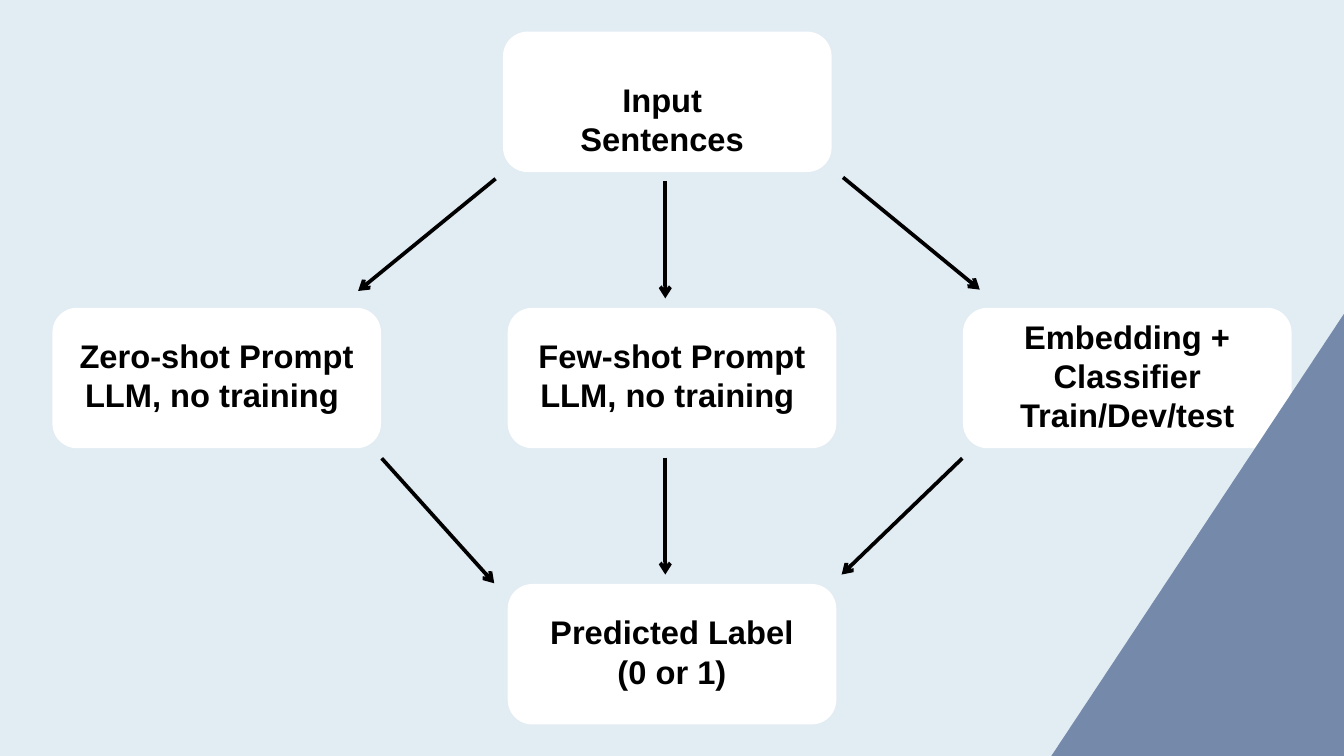
from dataclasses import dataclass

from lxml.etree import SubElement
from pptx import Presentation
from pptx.dml.color import RGBColor
from pptx.enum.shapes import MSO_CONNECTOR as Connector, MSO_SHAPE as Shape
from pptx.enum.text import MSO_ANCHOR as Anchor, PP_ALIGN as Align
from pptx.oxml.ns import qn
from pptx.util import Inches, Pt


@dataclass(frozen=True)
class Theme:
    background: str = "E2ECF3"
    card: str = "FFFFFF"
    ink: str = "000000"
    accent: str = "7589AB"
    font: str = "Arial"
    text_size: int = 35
    line_spacing: int = 42
    arrow_width: int = 4


THEME = Theme()
SLIDE_WIDTH, SLIDE_HEIGHT = 20, 11.25

# Three columns and three rows of cards, centred on the slide
CARD_WIDTH, CARD_HEIGHT = 4.89, 2.09
MARGIN_X, MARGIN_Y = 0.78, 0.47
PITCH_X = (SLIDE_WIDTH - 2 * MARGIN_X - CARD_WIDTH) / 2
PITCH_Y = (SLIDE_HEIGHT - 2 * MARGIN_Y - CARD_HEIGHT) / 2
CORNER = 0.175

# Insets inside a card: left, top, right, bottom
INSETS = (0.25, 0, 0.25, 0.08)
INPUT_INSETS = (0.52, 0.52, 0.67, 0)

# name: (column, row, shift to the right, insets, paragraphs)
CARDS = {
    "embedding": (2, 1, 0, INSETS, ["Embedding + Classifier", "Train/Dev/test"]),
    "input": (1, 0, -0.07, INPUT_INSETS, ["Input Sentences"]),
    "few-shot": (1, 1, 0, INSETS, ["Few-shot Prompt LLM, no training "]),
    "zero-shot": (0, 1, 0, INSETS, ["Zero-shot Prompt LLM, no training "]),
    "label": (1, 2, 0, INSETS, ["Predicted Label", "(0 or 1)"]),
}

# Each arrow leaves a card's bottom edge and reaches another card's top edge.
# End: (card, share of its width, gap to the right, gap downwards)
ARROWS = [
    (("few-shot", 0.5, -0.1, 0.14), ("label", 0.5, -0.1, -0.14)),
    (("input", 0.5, -0.03, 0.14), ("few-shot", 0.5, -0.1, -0.14)),
    (("embedding", 0, -0.01, 0.15), ("label", 1, 0.08, -0.14)),
    (("zero-shot", 1, 0.01, 0.15), ("label", 0, -0.2, -0.01)),
    (("input", 0, -0.11, 0.1), ("zero-shot", 1, -0.34, -0.25)),
    (("input", 1, 0.17, 0.08), ("embedding", 0, 0.25, -0.27)),
]

# Rotated panel that cuts across the lower right corner
PANEL = (15.04, 4.08, 14.22, 6.55)
PANEL_ROTATION = 303.5


def color(value):
    return RGBColor.from_string(value)


def card_origin(name):
    column, row, shift = CARDS[name][:3]
    return MARGIN_X + column * PITCH_X + shift, MARGIN_Y + row * PITCH_Y


def add_block(slide, kind, bounds, fill):
    block = slide.shapes.add_shape(kind, *map(Inches, bounds))
    block.shadow.inherit = False
    block.fill.solid()
    block.fill.fore_color.rgb = color(fill)
    block.line.fill.background()
    return block


def write_text(frame, paragraphs, *, insets):
    frame.word_wrap = True
    frame.vertical_anchor = Anchor.MIDDLE
    (frame.margin_left, frame.margin_top,
     frame.margin_right, frame.margin_bottom) = map(Inches, insets)
    for index, text in enumerate(paragraphs):
        para = frame.add_paragraph() if index else frame.paragraphs[0]
        para.alignment = Align.CENTER
        para.line_spacing = Pt(THEME.line_spacing)
        span = para.add_run()
        span.text = text
        span.font.name = THEME.font
        span.font.size = Pt(THEME.text_size)
        span.font.bold = True
        span.font.color.rgb = color(THEME.ink)


def add_card(slide, name):
    insets, paragraphs = CARDS[name][3:]
    bounds = (*card_origin(name), CARD_WIDTH, CARD_HEIGHT)
    card = add_block(slide, Shape.ROUNDED_RECTANGLE, bounds, THEME.card)
    card.adjustments[0] = CORNER
    write_text(card.text_frame, paragraphs, insets=insets)


def arrow_point(end, edge):
    """Locate an arrow's end; edge is 0 for a card's top and 1 for its bottom."""
    name, share, gap_x, gap_y = end
    left, top = card_origin(name)
    return (Inches(left + share * CARD_WIDTH + gap_x),
            Inches(top + edge * CARD_HEIGHT + gap_y))


def add_arrow(slide, start, finish):
    arrow = slide.shapes.add_connector(
        Connector.STRAIGHT, *arrow_point(start, 1), *arrow_point(finish, 0))
    arrow.line.color.rgb = color(THEME.ink)
    arrow.line.width = Pt(THEME.arrow_width)
    SubElement(arrow.line._get_or_add_ln(), qn("a:tailEnd"), type="arrow")
    SubElement(arrow._element.spPr, qn("a:effectLst"))


def main():
    deck = Presentation()
    deck.slide_width, deck.slide_height = Inches(SLIDE_WIDTH), Inches(SLIDE_HEIGHT)
    slide = deck.slides.add_slide(deck.slide_layouts.get_by_name("Blank"))
    slide.background.fill.solid()
    slide.background.fill.fore_color.rgb = color(THEME.background)

    for name in CARDS:
        add_card(slide, name)
    panel = add_block(slide, Shape.RECTANGLE, PANEL, THEME.accent)
    panel.rotation = PANEL_ROTATION
    for start, finish in ARROWS:
        add_arrow(slide, start, finish)

    deck.save("out.pptx")


if __name__ == "__main__":
    main()
